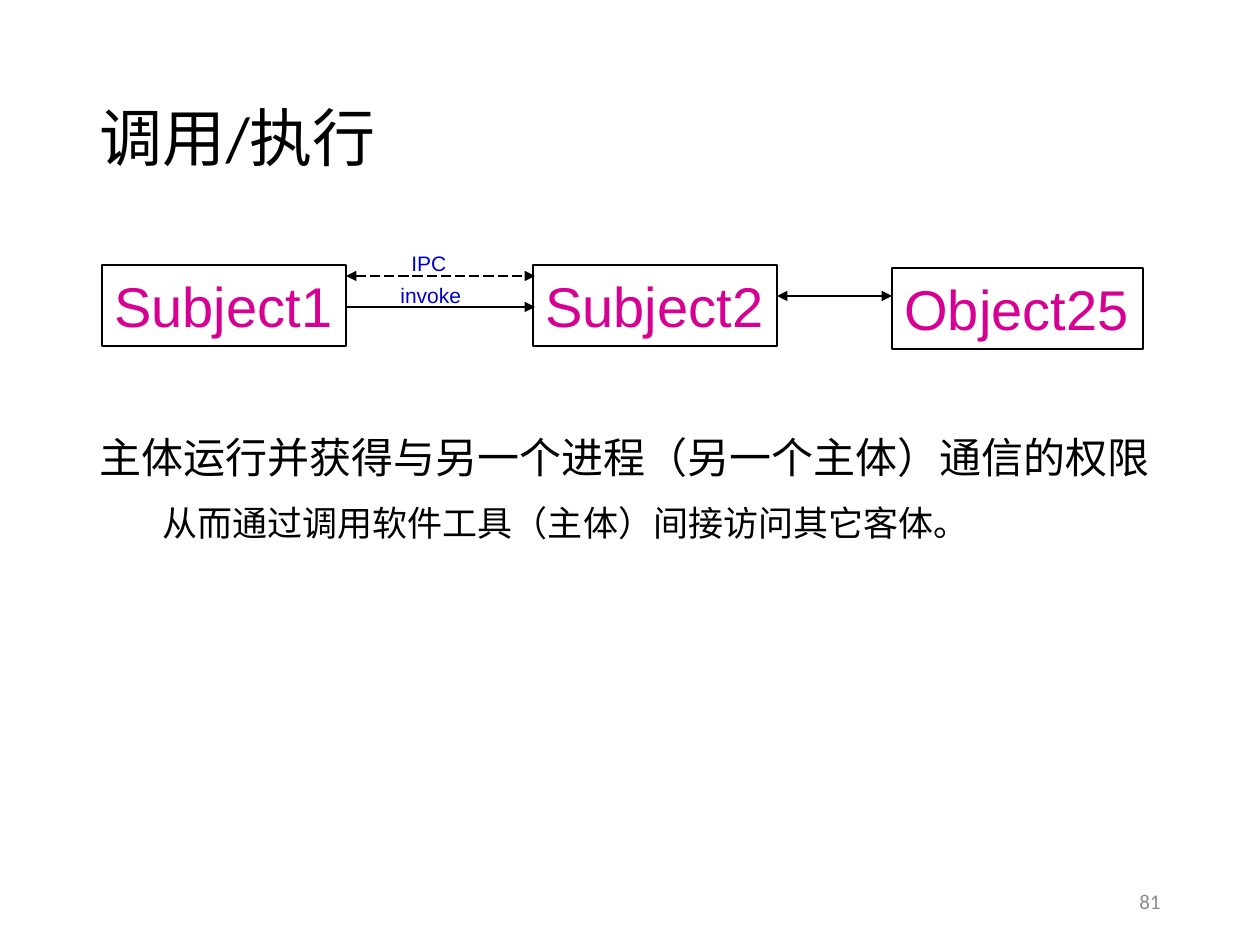
from lxml import etree
from pptx import Presentation
from pptx.dml.color import RGBColor
from pptx.enum.dml import MSO_LINE
from pptx.enum.shapes import MSO_CONNECTOR, MSO_SHAPE
from pptx.enum.text import MSO_ANCHOR, MSO_AUTO_SIZE, PP_ALIGN
from pptx.oxml.ns import qn
from pptx.util import Pt

LEFT, RIGHT, JUSTIFY = PP_ALIGN.LEFT, PP_ALIGN.RIGHT, PP_ALIGN.JUSTIFY
TOP, MIDDLE = MSO_ANCHOR.TOP, MSO_ANCHOR.MIDDLE
FIT, NO_FIT = MSO_AUTO_SIZE.SHAPE_TO_FIT_TEXT, MSO_AUTO_SIZE.NONE
STRAIGHT, RECTANGLE, LONG_DASH = MSO_CONNECTOR.STRAIGHT, MSO_SHAPE.RECTANGLE, MSO_LINE.LONG_DASH

EMU_PER_PX = 914400 / 126
BLACK, PINK, BLUE, GREY = "000000", "D60093", "0000CC", "8C8C8C"

TITLE = "调用/执行"
POINTS = [
    ("主体运行并获得与另一个进程（另一个主体）通信的权限", 24, 32, 0),
    ("从而通过调用软件工具（主体）间接访问其它客体。", 20, 95, 5),
]
ENTITIES = [
    ("Subject1", (102, 265, 244, 81)),
    ("Subject2", (533, 265, 244, 81)),
    ("Object25", (892, 268, 251, 81)),
]
ARROWS = [
    ((346, 307), (535, 307), ("tailEnd",), None),
    ((892, 296), (777, 296), ("headEnd", "tailEnd"), None),
    ((346, 276), (535, 276), ("headEnd", "tailEnd"), LONG_DASH),
]
LABELS = [("invoke", (388, 276, 105, 38)), ("IPC", (399, 244, 105, 38))]
PAGE_NUMBER = "81"


def px(value):
    return round(value * EMU_PER_PX)


def box_px(box):
    return [px(value) for value in box]


def rgb(value):
    return RGBColor.from_string(value)


def set_frame(frame, wrap=True, anchor=TOP, fit=NO_FIT):
    frame.word_wrap = wrap
    frame.vertical_anchor = anchor
    frame.auto_size = fit


def write(paragraph, text, size, font, color, align=LEFT):
    paragraph.text = text
    paragraph.alignment = align
    paragraph.font.size = Pt(size)
    paragraph.font.name = font
    paragraph.font.color.rgb = rgb(color)


def set_line(line):
    line.color.rgb = rgb(BLACK)
    line.width = Pt(0.75)


def add_text(slide, text, box, size, font, color, align=LEFT, anchor=TOP, fit=NO_FIT):
    frame = slide.shapes.add_textbox(*box_px(box)).text_frame
    set_frame(frame, anchor=anchor, fit=fit)
    write(frame.paragraphs[0], text, size, font, color, align)


def add_title(slide):
    title = slide.shapes.title
    title.left, title.top, title.width, title.height = box_px((87, 50, 1086, 183))
    set_frame(title.text_frame, anchor=MIDDLE)
    paragraph = title.text_frame.paragraphs[0]
    write(paragraph, TITLE, 36, "Calibri", BLACK)
    paragraph.line_spacing = 0.9


def add_points(slide):
    frame = slide.shapes.add_textbox(*box_px((87, 413, 1124, 417))).text_frame
    set_frame(frame)
    for index, (text, size, margin, before) in enumerate(POINTS):
        paragraph = frame.add_paragraph() if index else frame.paragraphs[0]
        properties = paragraph._p.get_or_add_pPr()
        properties.set("marL", str(px(margin)))
        properties.set("indent", str(px(-32)))
        write(paragraph, text, size, "Times New Roman", BLACK, JUSTIFY)
        paragraph.line_spacing = 1.25
        paragraph.space_before = Pt(before)


def add_entity(slide, text, box):
    entity = slide.shapes.add_shape(RECTANGLE, *box_px(box))
    entity.shadow.inherit = False
    entity.fill.background()
    set_line(entity.line)
    set_frame(entity.text_frame, wrap=False, fit=FIT)
    write(entity.text_frame.paragraphs[0], text, 32, "Arial", PINK)


def add_arrow(slide, start, end, heads, dash):
    arrow = slide.shapes.add_connector(STRAIGHT, *box_px(start + end))
    set_line(arrow.line)
    if dash:
        arrow.line.dash_style = dash
    outline = arrow.line._get_or_add_ln()
    for head in heads:
        etree.SubElement(outline, qn(f"a:{head}"), type="triangle")
    etree.SubElement(arrow._element.spPr, qn("a:effectLst"))


def main():
    deck = Presentation()
    deck.slide_width, deck.slide_height = px(1260), px(945)
    slide = deck.slides.add_slide(deck.slide_layouts[5])
    add_title(slide)
    add_points(slide)
    for entity in ENTITIES:
        add_entity(slide, *entity)
    for arrow in ARROWS:
        add_arrow(slide, *arrow)
    for text, box in LABELS:
        add_text(slide, text, box, 12, "Arial", BLUE, fit=FIT)
    add_text(slide, PAGE_NUMBER, (890, 876, 283, 50), 12, "Calibri", GREY, RIGHT, MIDDLE)
    deck.save("out.pptx")


if __name__ == "__main__":
    main()
